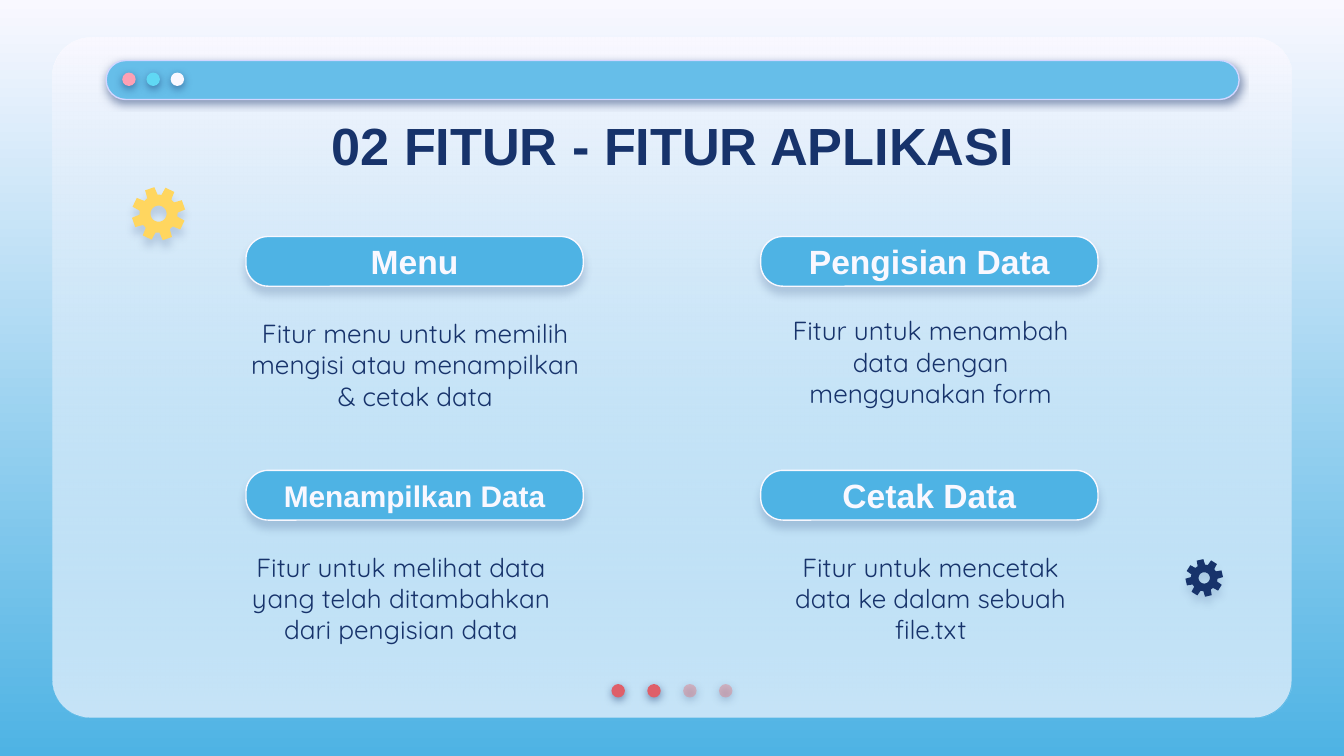
import math
from dataclasses import dataclass
from typing import Optional

import pptx
import pptx.dml.color
import pptx.enum.shapes
import pptx.enum.text
import pptx.oxml
import pptx.oxml.ns
import pptx.util
from pptx.util import Inches

SHAPE = pptx.enum.shapes.MSO_SHAPE
ANCHOR = pptx.enum.text.MSO_ANCHOR


@dataclass(frozen=True)
class Theme:
    navy: str = "17336B"
    pale: str = "F9F8FF"
    sky: str = "4EB3E4"
    bar: str = "66BEE9"
    bar_edge: str = "D2D6FF"
    yellow: str = "FFD65F"
    red: str = "DF5F69"
    faded_red: str = "E27B83"
    pink: str = "FDA0B4"
    cyan: str = "60D8F4"
    heading_font: str = "Arial"
    body_font: str = "Quicksand"
    title_size: float = 28
    label_size: float = 18
    small_label_size: float = 16
    body_size: float = 14


@dataclass(frozen=True)
class Shadow:
    opacity: int
    blur: float
    distance: float


@dataclass(frozen=True)
class Box:
    left: float
    top: float
    width: float
    height: float

    def emu(self) -> list:
        return [Inches(v) for v in (self.left, self.top, self.width, self.height)]


@dataclass(frozen=True)
class Dot:
    left: float
    top: float
    color: str
    opacity: int = 100


@dataclass(frozen=True)
class Feature:
    label: str
    description: str
    pill_left: float
    pill_top: float
    body: Box
    label_size: float
    side_inset: float = 0.1


@dataclass(frozen=True)
class Gear:
    x: float
    y: float
    radius: float
    turn: float
    color: str
    shadow: Shadow


THEME = Theme()
BAR_SHADOW = Shadow(50, 4.5, 1.5)
PILL_SHADOW = Shadow(18, 4.5, 3.8)

DOTS = [
    Dot(0.91, 0.54, THEME.pink),
    Dot(1.09, 0.54, THEME.cyan),
    Dot(1.27, 0.54, THEME.pale),
] + [
    Dot(4.55 + 0.8 * i / 3, 5.09, color, opacity)
    for i, (color, opacity) in enumerate(
        [(THEME.red, 100)] * 2 + [(THEME.faded_red, 44)] * 2)
]

FEATURES = [
    Feature("Menu", "Fitur menu untuk memilih mengisi atau menampilkan & cetak data",
            1.83, 1.76, Box(1.75, 2.26, 2.68, 0.82), THEME.label_size),
    Feature("Pengisian Data", "Fitur untuk menambah data dengan menggunakan form",
            5.66, 1.76, Box(5.69, 2.24, 2.47, 0.82), THEME.label_size),
    Feature("Menampilkan Data",
            "Fitur untuk melihat data yang telah ditambahkan dari pengisian data",
            1.83, 3.5, Box(1.75, 4, 2.47, 0.82), THEME.small_label_size, 0),
    Feature("Cetak Data", "Fitur untuk mencetak data ke dalam sebuah file.txt",
            5.66, 3.5, Box(5.69, 4, 2.47, 0.82), THEME.label_size),
]

GEARS = [
    Gear(1.18, 1.59, 0.2, -109.5, THEME.yellow, Shadow(16, 4.5, 4.5)),
    Gear(8.96, 4.3, 0.14, -103, THEME.navy, Shadow(15, 4.5, 3.8)),
]


def rgb(color: str) -> pptx.dml.color.RGBColor:
    return pptx.dml.color.RGBColor.from_string(color)


def set_opacity(fill_element, opacity: int) -> None:
    color = fill_element.find(".//" + pptx.oxml.ns.qn("a:srgbClr"))
    color.append(pptx.oxml.parse_xml(
        f'<a:alpha {pptx.oxml.ns.nsdecls("a")} val="{opacity * 1000}"/>'))


def fade_down(fill, top: str, bottom: str) -> None:
    fill.gradient()
    fill.gradient_angle = 270
    for stop, color in zip(fill.gradient_stops, (top, bottom)):
        stop.color.rgb = rgb(color)


def finish(shape, color: str, edge: Optional[str] = None,
           shadow: Optional[Shadow] = None) -> None:
    shape.fill.solid()
    shape.fill.fore_color.rgb = rgb(color)
    if edge:
        shape.line.color.rgb = rgb(edge)
        shape.line.width = pptx.util.Pt(0.75)
    else:
        shape.line.fill.background()
    shape.shadow.inherit = False
    if shadow:
        effects = shape._element.spPr.find(pptx.oxml.ns.qn("a:effectLst"))
        effects.append(pptx.oxml.parse_xml(
            f'<a:outerShdw {pptx.oxml.ns.nsdecls("a")} blurRad="{pptx.util.Pt(shadow.blur)}" '
            f'dist="{pptx.util.Pt(shadow.distance)}" dir="5400000" algn="bl" rotWithShape="0">'
            f'<a:srgbClr val="{THEME.navy}"><a:alpha val="{shadow.opacity * 1000}"/>'
            '</a:srgbClr></a:outerShdw>'))


def draw_rounded(slide, box: Box, roundness: float, color: str,
                 edge: Optional[str] = None, shadow: Optional[Shadow] = None):
    rounded = slide.shapes.add_shape(SHAPE.ROUNDED_RECTANGLE, *box.emu())
    rounded.adjustments[0] = roundness
    finish(rounded, color, edge, shadow)
    return rounded


def draw_dot(slide, dot: Dot) -> None:
    circle = slide.shapes.add_shape(SHAPE.OVAL, *Box(dot.left, dot.top, 0.1, 0.1).emu())
    finish(circle, dot.color, shadow=BAR_SHADOW)
    if dot.opacity < 100:
        set_opacity(circle._element.spPr, dot.opacity)


def draw_gear(slide, gear: Gear) -> None:
    def at(degrees: float, share: float) -> tuple:
        angle = math.radians(degrees)
        return (Inches(gear.x + gear.radius * share * math.cos(angle)),
                Inches(gear.y + gear.radius * share * math.sin(angle)))

    tooth = [(16.5, 0.71), (10.5, 1), (-10.5, 1), (-16.5, 0.71)]
    rim = [at(gear.turn - 45 * i + offset, share) for i in range(8) for offset, share in tooth]
    hole = [at(10 * i, 0.3) for i in range(36)]
    builder = slide.shapes.build_freeform(*rim[0])
    builder.add_line_segments(rim[1:], close=True)
    builder.move_to(*hole[0])
    builder.add_line_segments(hole[1:], close=True)
    finish(builder.convert_to_shape(), gear.color, shadow=gear.shadow)


def write(shape, text: str, size: float, font: str, color: str, bold: bool,
          anchor, side_inset: float = 0.1) -> None:
    frame = shape.text_frame
    frame.text = text
    paragraph = frame.paragraphs[0]
    formats = {
        frame: {"word_wrap": True, "vertical_anchor": anchor,
                "auto_size": pptx.enum.text.MSO_AUTO_SIZE.NONE,
                "margin_left": Inches(side_inset), "margin_right": Inches(side_inset),
                "margin_top": Inches(0.1), "margin_bottom": Inches(0.1)},
        paragraph: {"alignment": pptx.enum.text.PP_ALIGN.CENTER, "line_spacing": 1.0},
        paragraph.runs[0].font: {"size": pptx.util.Pt(size), "name": font, "bold": bold},
    }
    for target, values in formats.items():
        for attribute, value in values.items():
            setattr(target, attribute, value)
    paragraph.runs[0].font.color.rgb = rgb(color)


def draw_feature(slide, feature: Feature) -> None:
    pill = Box(feature.pill_left, feature.pill_top, 2.51, 0.37)
    draw_rounded(slide, pill, 0.447, THEME.sky, THEME.pale, PILL_SHADOW)
    label = Box(pill.left + 0.02, pill.top + 0.04, 2.47, 0.29)
    write(slide.shapes.add_textbox(*label.emu()), feature.label, feature.label_size,
          THEME.heading_font, THEME.pale, True, ANCHOR.MIDDLE, feature.side_inset)
    write(slide.shapes.add_textbox(*feature.body.emu()), feature.description, THEME.body_size,
          THEME.body_font, THEME.navy, False, ANCHOR.TOP)


def place_title(slide, text: str, box: Box) -> None:
    title = slide.shapes.title
    for attribute, value in zip(("left", "top", "width", "height"), box.emu()):
        setattr(title, attribute, value)
    write(title, text, THEME.title_size, THEME.heading_font, THEME.navy, True, ANCHOR.MIDDLE)
    slide.shapes._spTree.append(title._element)


def main() -> None:
    deck = pptx.Presentation()
    deck.slide_width = Inches(10)
    deck.slide_height = deck.slide_width * 9 // 16
    slide = deck.slides.add_slide(deck.slide_layouts[5])
    fade_down(slide.background.fill, THEME.pale, THEME.sky)

    window = Box(0.39, 0.28, 9.22, 5.06)
    draw_rounded(slide, window, 0.056, THEME.pale)
    tint = draw_rounded(slide, window, 0.056, THEME.pale)
    fade_down(tint.fill, THEME.pale, THEME.bar)
    set_opacity(tint._element.spPr.find(".//" + pptx.oxml.ns.qn("a:gs") + "[2]"), 34)

    draw_rounded(slide, Box(0.79, 0.45, 8.43, 0.29), 0.5, THEME.bar, THEME.bar_edge, BAR_SHADOW)
    for dot in DOTS:
        draw_dot(slide, dot)
    place_title(slide, "02 FITUR - FITUR APLIKASI", Box(0.79, 0.76, 8.43, 0.63))
    for feature in FEATURES:
        draw_feature(slide, feature)
    for gear in GEARS:
        draw_gear(slide, gear)
    deck.save("out.pptx")


if __name__ == "__main__":
    main()
